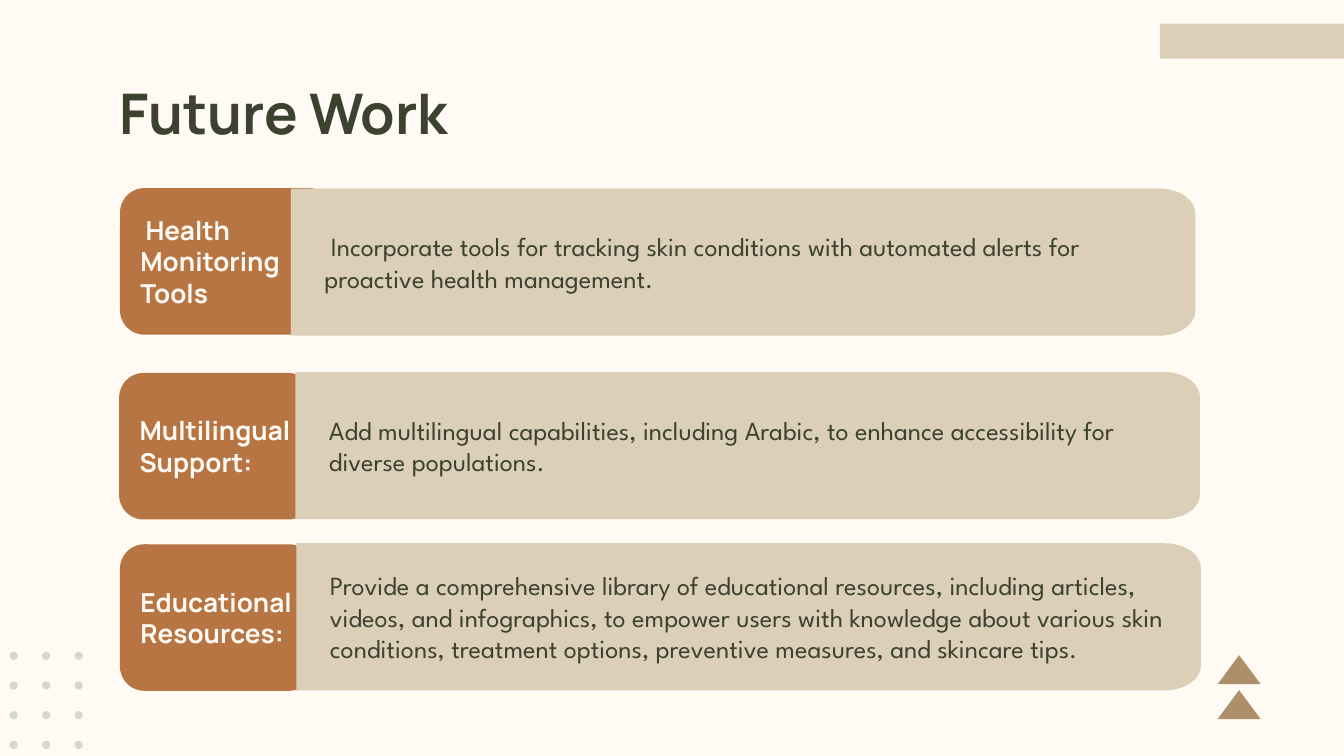
from math import cos, pi, sin
from pptx import Presentation
from pptx.dml.color import RGBColor
from pptx.enum.shapes import MSO_SHAPE as SHAPE
from pptx.enum.text import MSO_ANCHOR as ANCHOR, PP_ALIGN as ALIGN
from pptx.util import Inches, Pt

COLORS = {
    "cream": "FFFBF4", "sand": "DBCFB7", "clay": "B77543",
    "olive": "3D4130", "tan": "AD8F6B", "dot": "D5D9CB",
}
RGB = {name: RGBColor.from_string(value) for name, value in COLORS.items()}
HEADING = {"name": "Manrope", "size": Pt(30), "bold": True}
LABEL = {"name": "Manrope", "size": Pt(14), "bold": True}
BODY = {"name": "League Spartan", "size": Pt(14), "bold": False}

prs = Presentation()
prs.slide_width, prs.slide_height = Inches(10), Inches(5.625)
U = prs.slide_width / 100
s = prs.slides.add_slide(prs.slide_layouts[6])
s.background.fill.solid()
s.background.fill.fore_color.rgb = RGB["cream"]


def draw(color, contours=None, preset=None, box=()):
    if contours:
        scaled = [[(round(x * U), round(y * U)) for x, y in points] for points in contours]
        fb = s.shapes.build_freeform(*scaled[0][0])
        for i, points in enumerate(scaled):
            if i:
                fb.move_to(*points[0])
            fb.add_line_segments(points[1:], close=True)
        sp = fb.convert_to_shape()
    else:
        sp = s.shapes.add_shape(preset, *(round(n * U) for n in box))
    sp.shadow.inherit = False
    sp.fill.solid()
    sp.fill.fore_color.rgb = RGB[color]
    sp.line.fill.background()
    return sp


def write(sp, text, font, color, anchor, insets):
    tf = sp.text_frame
    sides = ("margin_left", "margin_top", "margin_right", "margin_bottom")
    frame = {"word_wrap": True, "vertical_anchor": anchor}
    frame.update((side, round(n * U)) for side, n in zip(sides, insets))
    for key, value in frame.items():
        setattr(tf, key, value)
    p = tf.paragraphs[0]
    p.alignment = ALIGN.LEFT
    r = p.add_run()
    r.text = text
    for key, value in font.items():
        setattr(r.font, key, value)
    r.font.color.rgb = RGB[color]


draw("sand", preset=SHAPE.RECTANGLE, box=(86.3, 1.75, 13.7, 2.62))

arrows = [[(92.2, y), (93.8, y + 2.15), (90.6, y + 2.15)] for y in (48.75, 51.35)]
draw("tan", arrows)

DOT_R, DOT_SIDES = 0.3, 24
turns = [2 * pi * i / DOT_SIDES for i in range(DOT_SIDES)]
dots = [
    [(1.02 + 2.42 * col + DOT_R * cos(a), 48.8 + 2.21 * row + DOT_R * sin(a)) for a in turns]
    for col in range(3) for row in range(4)
]
draw("dot", dots)

title = s.shapes.add_textbox(*(round(n * U) for n in (7.9, 4.85, 84.3, 6.3)))
write(title, "Future Work", HEADING, "olive", ANCHOR.TOP, (1, 1, 1, 1))

LABEL_H, PANEL_W, PANEL_H = 10.9, 67.3, 10.95
RX, RY, STEPS = 2.7, 1.82, 12
rows = [
    (14.03, 8.93, 14, 15.9, 21.64, " Health Monitoring Tools",
     " Incorporate tools for tracking skin conditions with automated alerts for "
     "proactive health management."),
    (27.68, 8.87, 27.75, 14.4, 21.98, "Multilingual Support:",
     "Add multilingual capabilities, including Arabic, to enhance accessibility for "
     "diverse populations."),
    (40.42, 8.93, 40.5, 14.4, 22.05, "Educational Resources:",
     "Provide a comprehensive library of educational resources, including articles, "
     "videos, and infographics, to empower users with knowledge about various skin "
     "conditions, treatment options, preventive measures, and skincare tips."),
]
angles = [pi / 2 * i / STEPS for i in range(STEPS + 1)]
for top, label_x, label_y, label_w, left, label, body in rows:
    sp = draw("clay", preset=SHAPE.ROUNDED_RECTANGLE, box=(label_x, label_y, label_w, LABEL_H))
    write(sp, label, LABEL, "cream", ANCHOR.MIDDLE, (1, 0.5, 0.5, 0.5))

    right, bottom = left + PANEL_W, top + PANEL_H
    upper = [(right - RX + RX * sin(a), top + RY - RY * cos(a)) for a in angles]
    lower = [(right - RX + RX * cos(a), bottom - RY + RY * sin(a)) for a in angles]
    panel = draw("sand", [[(left, top)] + upper + lower + [(left, bottom)]])
    write(panel, body, BODY, "olive", ANCHOR.MIDDLE, (2.5, 1.9, 1.9, 1.9))

prs.save("out.pptx")
